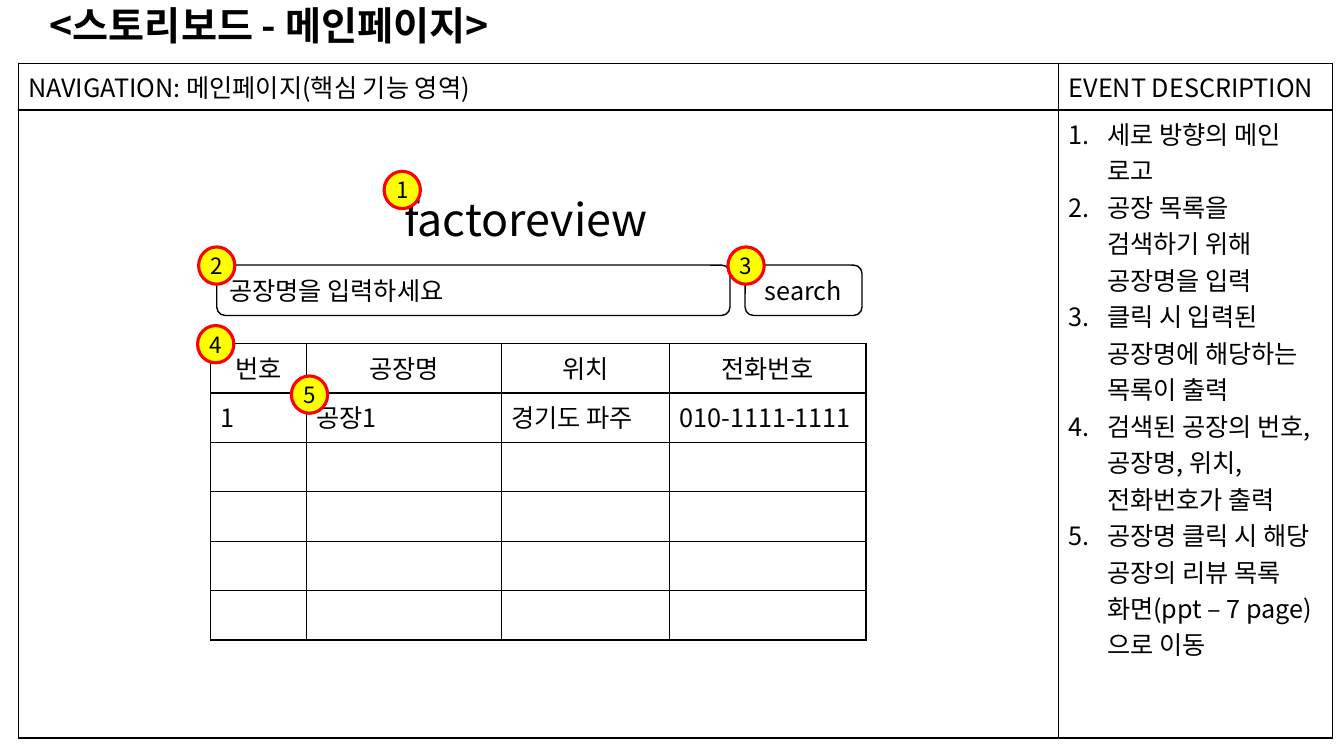
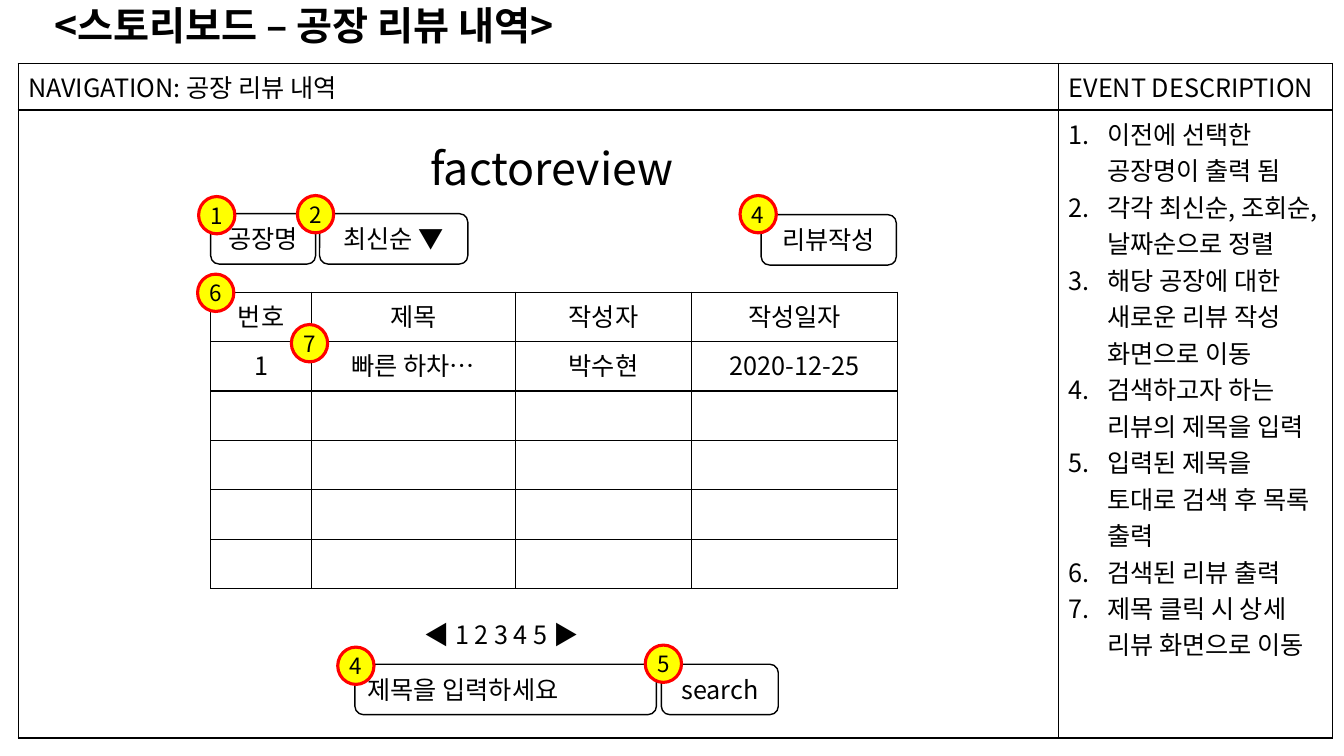
import lxml.etree
import pptx
import pptx.dml.color
import pptx.enum.shapes
import pptx.enum.text
import pptx.oxml.ns
import pptx.util

Inches = pptx.util.Inches
qn = pptx.oxml.ns.qn
SHAPE = pptx.enum.shapes.MSO_SHAPE
LEFT = pptx.enum.text.PP_ALIGN.LEFT
CENTER = pptx.enum.text.PP_ALIGN.CENTER
MIDDLE = pptx.enum.text.MSO_ANCHOR.MIDDLE


def rgb(value):
    return pptx.dml.color.RGBColor.from_string(value)


class Storyboard:
    """Holds the storyboard style and the slide being drawn."""

    FONT = "Noto Sans CJK KR"
    INK, PAPER, MARK, RING = "000000", "FFFFFF", "FFFF00", "FF0000"
    BODY, BADGE, TITLE, BRAND = 18, 16, 28, 32
    ROW = 0.49
    BUTTON = 0.5

    def __init__(self):
        self.prs = pptx.Presentation()
        self.prs.slide_width = Inches(13.33)
        self.prs.slide_height = Inches(7.5)
        self.s = None

    def run(self, p, text, size=BODY, align=LEFT, bold=False):
        p.alignment = align
        r = p.add_run()
        r.text = text
        r.font.size = pptx.util.Pt(size)
        r.font.bold = bold
        r.font.color.rgb = rgb(self.INK)
        r.font.name = self.FONT
        ea = lxml.etree.SubElement(r._r.get_or_add_rPr(), qn("a:ea"))
        ea.set("typeface", self.FONT)

    def number(self, p):
        pPr = p._p.get_or_add_pPr()
        pPr.set("marL", str(Inches(0.38)))
        pPr.set("indent", str(-Inches(0.38)))
        lxml.etree.SubElement(pPr, qn("a:buAutoNum")).set("type", "arabicPeriod")

    def new_slide(self, title, x, w):
        self.s = self.prs.slides.add_slide(self.prs.slide_layouts[5])
        sp = self.s.shapes.title
        sp.left, sp.top, sp.width, sp.height = Inches(x), Inches(0), Inches(w), Inches(0.5)
        tf = sp.text_frame
        tf.word_wrap = True
        tf.auto_size = pptx.enum.text.MSO_AUTO_SIZE.NONE
        tf.vertical_anchor = MIDDLE
        self.run(tf.paragraphs[0], title, self.TITLE, CENTER, True)

    def table(self, x, y, cols, rows):
        tbl = self.s.shapes.add_table(
            len(rows), len(cols), Inches(x), Inches(y), Inches(sum(cols)), Inches(sum(rows))
        ).table
        tbl.first_row = tbl.horz_banding = False
        for col, w in zip(tbl.columns, cols):
            col.width = Inches(w)
        for row, h in zip(tbl.rows, rows):
            row.height = Inches(h)
        for cell in tbl.iter_cells():
            self.border(cell)
            cell.fill.background()
        return tbl

    def border(self, cell):
        tcPr = cell._tc.get_or_add_tcPr()
        for side in ("a:lnL", "a:lnR", "a:lnT", "a:lnB"):
            ln = lxml.etree.SubElement(tcPr, qn(side), w=str(pptx.util.Pt(1)))
            fill = lxml.etree.SubElement(ln, qn("a:solidFill"))
            lxml.etree.SubElement(fill, qn("a:srgbClr"), val=self.INK)

    def frame(self, navigation, events):
        tbl = self.table(0.18, 0.63, (10.32, 2.72), (0.45, 6.23))
        for col, text in enumerate(("NAVIGATION: " + navigation, "EVENT DESCRIPTION")):
            self.run(tbl.cell(0, col).text_frame.paragraphs[0], text)
        tf = tbl.cell(1, 1).text_frame
        for i, event in enumerate(events):
            p = tf.add_paragraph() if i else tf.paragraphs[0]
            self.run(p, event)
            self.number(p)

    def listing(self, y, cols, header, record, align):
        tbl = self.table(2.09, y, cols, [self.ROW] * 6)
        for row, (texts, al) in enumerate(((header, CENTER), (record, align))):
            for col, text in enumerate(texts):
                self.run(tbl.cell(row, col).text_frame.paragraphs[0], text, align=al)

    def label(self, text, x, y, w, h, size=BODY, align=LEFT):
        tf = self.s.shapes.add_textbox(Inches(x), Inches(y), Inches(w), Inches(h)).text_frame
        tf.word_wrap = True
        self.run(tf.paragraphs[0], text, size, align)

    def brand(self, x, y):
        self.label("factoreview", x, y, 2.99, 0.64, self.BRAND, CENTER)

    def shape(self, kind, x, y, w, h, fill, line, weight):
        sp = self.s.shapes.add_shape(kind, Inches(x), Inches(y), Inches(w), Inches(h))
        sp.shadow.inherit = False
        sp.fill.solid()
        sp.fill.fore_color.rgb = rgb(fill)
        sp.line.color.rgb = rgb(line)
        sp.line.width = pptx.util.Pt(weight)
        tf = sp.text_frame
        tf.vertical_anchor = MIDDLE
        return tf

    def button(self, text, x, y, w, align=CENTER):
        tf = self.shape(SHAPE.ROUNDED_RECTANGLE, x, y, w, self.BUTTON, self.PAPER, self.INK, 1)
        self.run(tf.paragraphs[0], text, align=align)

    def badges(self, *marks):
        for text, x, y in marks:
            tf = self.shape(SHAPE.OVAL, x, y, 0.36, 0.37, self.MARK, self.RING, 2.25)
            tf.word_wrap = False
            tf.margin_left = tf.margin_right = tf.margin_top = tf.margin_bottom = 0
            self.run(tf.paragraphs[0], text, self.BADGE, CENTER)


def main_page(b):
    b.new_slide("<스토리보드 - 메인페이지>", 0, 5.34)
    b.frame("메인페이지(핵심 기능 영역)", (
        "세로 방향의 메인 로고",
        "공장 목록을 검색하기 위해 공장명을 입력",
        "클릭 시 입력된 공장명에 해당하는 목록이 출력",
        "검색된 공장의 번호, 공장명, 위치, 전화번호가 출력",
        "공장명 클릭 시 해당 공장의 리뷰 목록 화면(ppt – 7 page) 으로 이동",
    ))
    b.brand(3.72, 1.85)
    b.button("공장명을 입력하세요", 2.15, 2.63, 5.09, LEFT)
    b.button("search", 7.39, 2.63, 1.16)
    b.listing(3.41, (0.95, 1.93, 1.67, 1.95),
              ("번호", "공장명", "위치", "전화번호"),
              ("1", "공장1", "경기도 파주", "010-1111-1111"), LEFT)
    b.badges(("1", 3.81, 1.7), ("2", 1.97, 2.45), ("4", 1.96, 3.23),
             ("3", 7.22, 2.45), ("5", 2.89, 3.73))


def review_page(b):
    b.new_slide("<스토리보드 – 공장 리뷰 내역>", 0.09, 5.85)
    b.frame("공장 리뷰 내역", (
        "이전에 선택한 공장명이 출력 됨",
        "각각 최신순, 조회순, 날짜순으로 정렬",
        "해당 공장에 대한 새로운 리뷰 작성 화면으로 이동",
        "검색하고자 하는 리뷰의 제목을 입력",
        "입력된 제목을 토대로 검색 후 목록 출력",
        "검색된 리뷰 출력",
        "제목 클릭 시 상세 리뷰 화면으로 이동",
    ))
    b.brand(3.98, 1.35)
    b.button("공장명", 2.09, 2.12, 1.04)
    b.button("최신순 ▼", 3.17, 2.12, 1.47)
    b.button("리뷰작성", 7.55, 2.13, 1.34)
    b.listing(2.9, (1, 2.02, 1.75, 2.04),
              ("번호", "제목", "작성자", "작성일자"),
              ("1", "빠른 하차…", "박수현", "2020-12-25"), CENTER)
    b.label("◀ 1 2 3 4 5 ▶", 4.11, 6.09, 1.94, 0.4)
    b.button("제목을 입력하세요", 3.52, 6.59, 2.99, LEFT)
    b.button("search", 6.56, 6.59, 1.16)
    b.badges(("1", 1.97, 1.95), ("6", 1.96, 2.72), ("4", 7.34, 1.94), ("7", 2.89, 3.22),
             ("2", 2.95, 1.94), ("5", 6.4, 6.4), ("4", 3.35, 6.42))


def main():
    b = Storyboard()
    main_page(b)
    review_page(b)
    b.prs.save("out.pptx")


if __name__ == "__main__":
    main()
